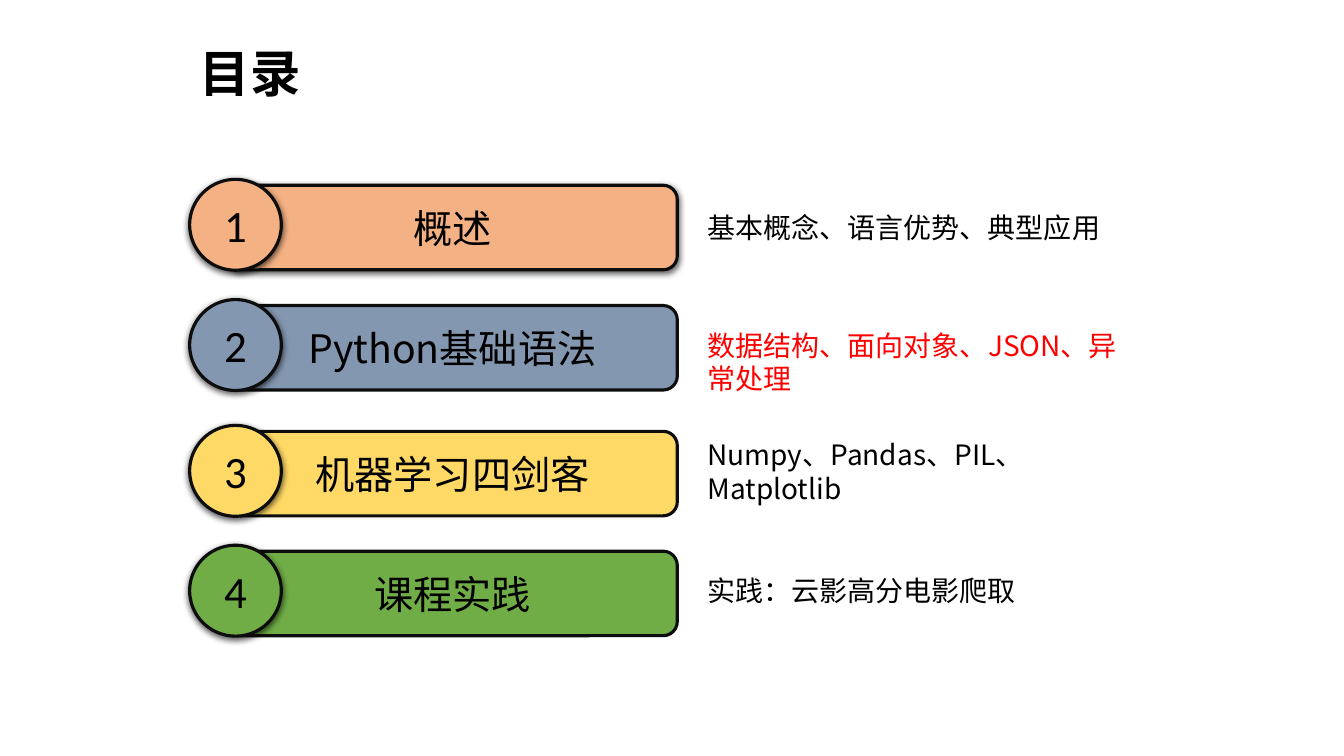
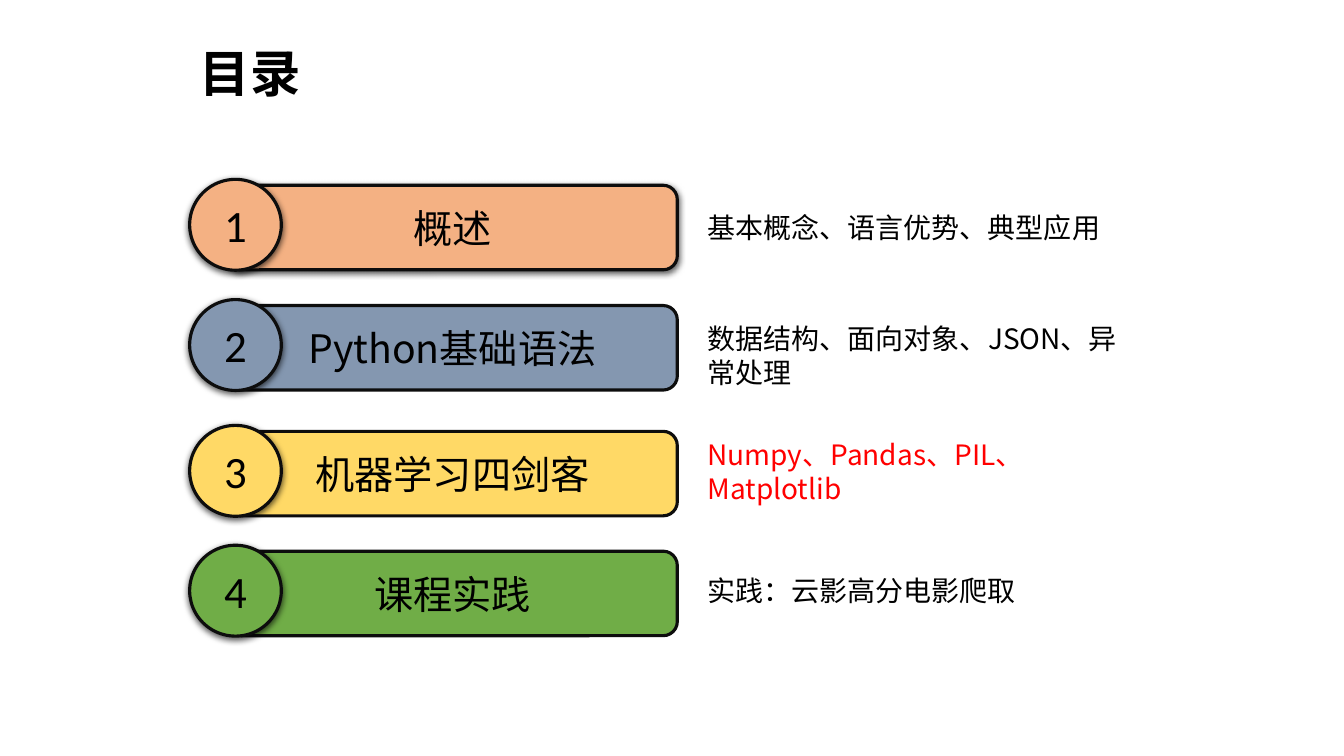
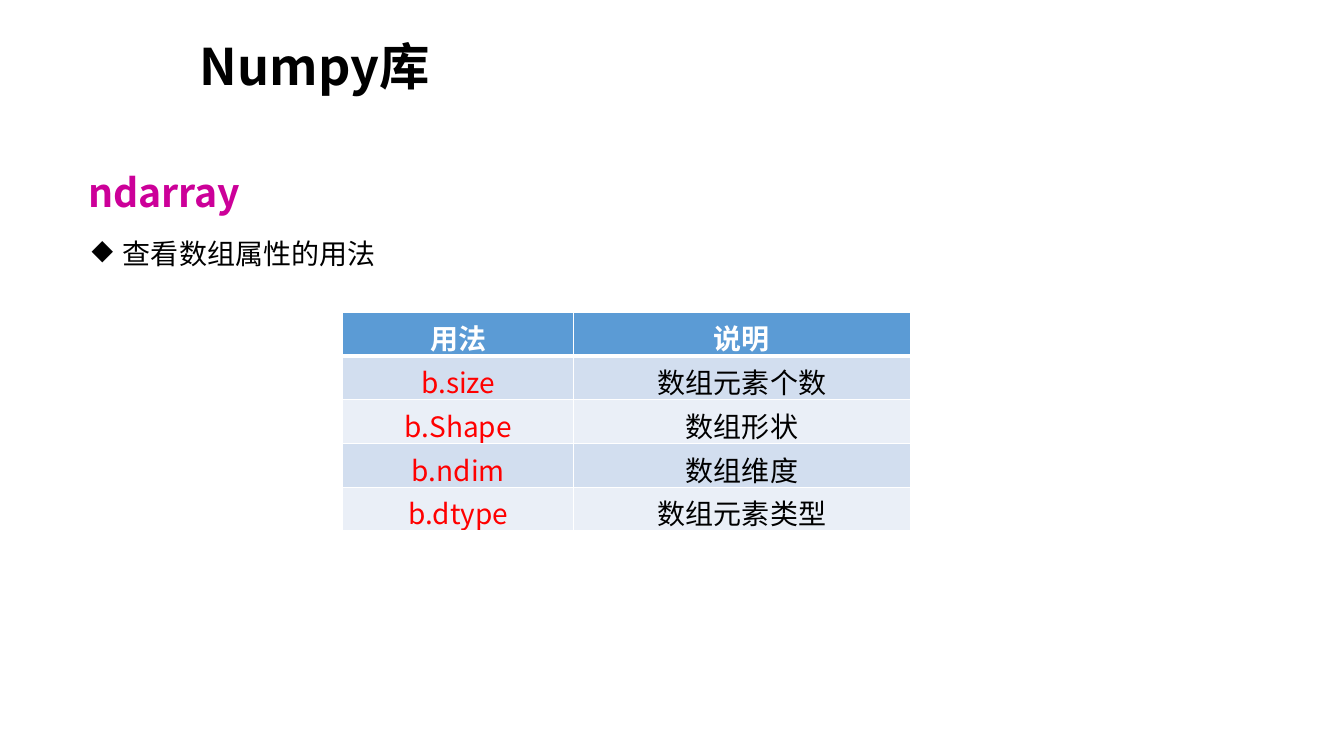
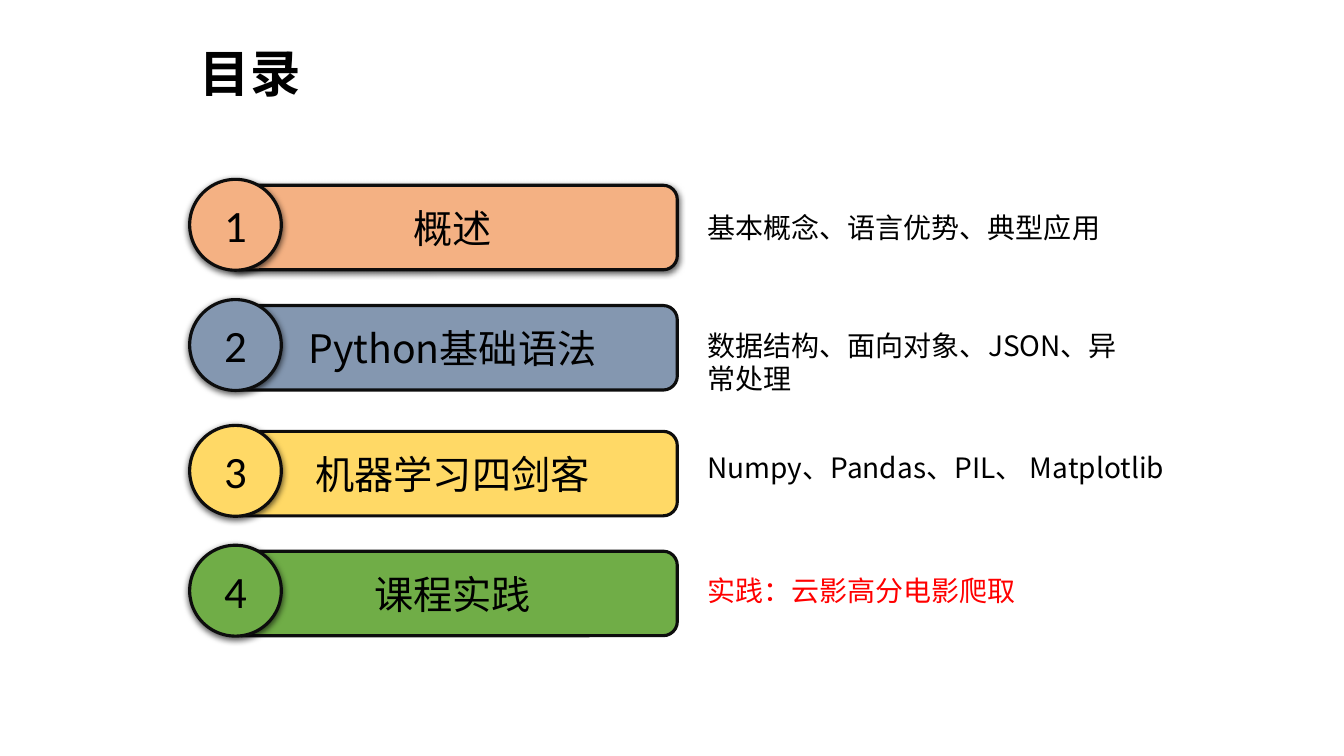
"""Build four slides of a Python course: three agenda pages and one table page."""
from dataclasses import dataclass

from lxml import etree
from pptx import Presentation
from pptx import util as u
from pptx.dml.color import RGBColor
from pptx.enum import shapes, text as t
from pptx.oxml import ns

Cm, Pt = u.Cm, u.Pt


@dataclass(frozen=True)
class Theme:
    """Colours, fonts and type sizes shared by every slide."""
    font: str = "Noto Sans CJK SC"
    number_font: str = "Calibri"
    ink: str = "000000"
    paper: str = "FFFFFF"
    outline: str = "0D0D0D"
    highlight: str = "FF0000"
    heading: str = "CC0099"
    header: str = "5B9BD5"
    bands: tuple = ("D2DEEF", "EAEFF7")
    chapters: tuple = ("F4B183", "8497B0", "FFD966", "70AD47")
    title_size: int = 36
    number_size: int = 32
    large_size: int = 28
    body_size: int = 20


THEME = Theme()

CHAPTERS = (
    ("概述", "基本概念、语言优势、典型应用"),
    ("Python基础语法", "数据结构、面向对象、JSON、异常处理"),
    ("机器学习四剑客", "Numpy、Pandas、PIL、 Matplotlib"),
    ("课程实践", "实践：云影高分电影爬取"),
)
BAR_TOPS = (4.67, 7.7, 10.87, 13.89)
NOTE_TOPS = (5.18, 8.15, 10.9, 14.33)
NOTE_WIDTH = 10.97

ATTRIBUTES = (
    ("用法", "说明"),
    ("b.size", "数组元素个数"),
    ("b.Shape", "数组形状"),
    ("b.ndim", "数组维度"),
    ("b.dtype", "数组元素类型"),
)


def add_element(parent, tag, **attributes):
    """Append a drawing element and return it."""
    element = etree.SubElement(parent, ns.qn(tag))
    for name, value in attributes.items():
        element.set(name, str(value))
    return element


def write(frame, text, size=THEME.body_size, color=THEME.ink, font=THEME.font,
          bold=False, align=t.PP_ALIGN.LEFT, spacing=None, bullet=None):
    """Put one formatted paragraph into a text frame."""
    paragraph = frame.paragraphs[0]
    paragraph.alignment = align
    if spacing:
        paragraph.line_spacing = spacing
    if bullet:
        properties = paragraph._p.get_or_add_pPr()
        indent = Cm(0.79)
        properties.set("marL", str(indent))
        properties.set("indent", str(-indent))
        add_element(properties, "a:buChar", char=bullet)
    run = paragraph.add_run()
    run.text = text
    run.font.size = Pt(size)
    run.font.bold = bold
    run.font.name = font
    run.font.color.rgb = RGBColor.from_string(color)
    add_element(run._r.get_or_add_rPr(), "a:ea", typeface=font)


class Deck:
    """Hold the presentation, its theme and the current slide."""

    def __init__(self, theme):
        self.theme = theme
        self.presentation = Presentation()
        self.presentation.slide_width = Cm(33.87)
        self.presentation.slide_height = Cm(19.05)
        self.slide = None

    def start(self, title, top, width):
        layout = self.presentation.slide_layouts[5]
        self.slide = self.presentation.slides.add_slide(layout)
        shape = self.slide.shapes.title
        shape.left, shape.top = Cm(4.78), Cm(top)
        shape.width, shape.height = Cm(width), Cm(1.8)
        frame = shape.text_frame
        frame.vertical_anchor = t.MSO_ANCHOR.TOP
        frame.word_wrap = True
        frame.auto_size = t.MSO_AUTO_SIZE.SHAPE_TO_FIT_TEXT
        write(frame, title, size=self.theme.title_size, bold=True)

    def label(self, text, left, top, width, height, **style):
        shape = self.slide.shapes.add_textbox(Cm(left), Cm(top), Cm(width), Cm(height))
        shape.text_frame.word_wrap = True
        shape.text_frame.auto_size = t.MSO_AUTO_SIZE.SHAPE_TO_FIT_TEXT
        write(shape.text_frame, text, **style)

    def block(self, kind, text, left, top, width, height, fill, shadow, **style):
        shape = self.slide.shapes.add_shape(kind, Cm(left), Cm(top), Cm(width), Cm(height))
        shape.fill.solid()
        shape.fill.fore_color.rgb = RGBColor.from_string(fill)
        shape.line.color.rgb = RGBColor.from_string(self.theme.outline)
        shape.line.width = Pt(2.25)
        shape.shadow.inherit = False
        if shadow:
            effects = shape._element.spPr.find(ns.qn("a:effectLst"))
            outer = add_element(effects, "a:outerShdw", blurRad=Pt(4.5), dist=Pt(1.5),
                                dir=5400000, algn="ctr", rotWithShape=0)
            color = add_element(outer, "a:srgbClr", val=self.theme.ink)
            add_element(color, "a:alpha", val=63000)
        shape.text_frame.vertical_anchor = t.MSO_ANCHOR.MIDDLE
        write(shape.text_frame, text, align=t.PP_ALIGN.CENTER, **style)

    def chapter(self, index, name):
        theme, kinds = self.theme, shapes.MSO_SHAPE
        top, fill = BAR_TOPS[index], theme.chapters[index]
        self.block(kinds.ROUNDED_RECTANGLE, name, 5.74, top, 11.33, 2.13, fill,
                   shadow=index == 0, size=theme.large_size)
        self.block(kinds.OVAL, str(index + 1), 4.78, top - 0.15, 2.31, 2.29, fill,
                   shadow=True, size=theme.number_size, font=theme.number_font)

    def agenda(self, current, moved):
        self.start("目录", 0.94, 3.23)
        for index, (name, note) in enumerate(CHAPTERS):
            self.chapter(index, name)
            top, width = moved.get(index, (NOTE_TOPS[index], NOTE_WIDTH))
            color = self.theme.highlight if index == current else self.theme.ink
            self.label(note, 17.58, top, width, 1.12, color=color)

    def border(self, cell, side, width):
        properties = cell._tc.get_or_add_tcPr()
        line = add_element(properties, f"a:ln{side}", w=Pt(width))
        fill = add_element(line, "a:solidFill")
        add_element(fill, "a:srgbClr", val=self.theme.paper)

    def table(self, rows, left, top, widths, row_height):
        theme = self.theme
        frame = self.slide.shapes.add_table(
            len(rows), len(widths), Cm(left), Cm(top),
            Cm(sum(widths)), Cm(row_height * len(rows)))
        table = frame.table
        for column, width in zip(table.columns, widths):
            column.width = Cm(width)
        for row_index, row in enumerate(rows):
            table.rows[row_index].height = Cm(row_height)
            header = row_index == 0
            fill = theme.header if header else theme.bands[(row_index - 1) % 2]
            colors = (theme.paper,) * 2 if header else (theme.highlight, theme.ink)
            for column_index, text in enumerate(row):
                cell = table.cell(row_index, column_index)
                for side in "LRTB":
                    thick = (row_index, side) in ((0, "B"), (1, "T"))
                    self.border(cell, side, 3 if thick else 1)
                cell.fill.solid()
                cell.fill.fore_color.rgb = RGBColor.from_string(fill)
                write(cell.text_frame, text, color=colors[column_index],
                      bold=header, align=t.PP_ALIGN.CENTER)

    def array_attributes(self):
        theme = self.theme
        self.start("Numpy库", 0.76, 10.26)
        self.label("ndarray", 1.98, 3.81, 7.44, 1.63, size=theme.large_size,
                   color=theme.heading, bold=True, spacing=1.25)
        self.label("查看数组属性的用法", 2.06, 5.41, 28.88, 1.4, spacing=1.5, bullet="◆")
        self.table(ATTRIBUTES, 8.64, 7.87, (5.82, 8.48), 1.1)


def main():
    deck = Deck(THEME)
    deck.agenda(current=1, moved={})
    deck.agenda(current=2, moved={1: (7.98, NOTE_WIDTH)})
    deck.array_attributes()
    deck.agenda(current=3, moved={2: (11.23, 12.73)})
    deck.presentation.save("out.pptx")


if __name__ == "__main__":
    main()
